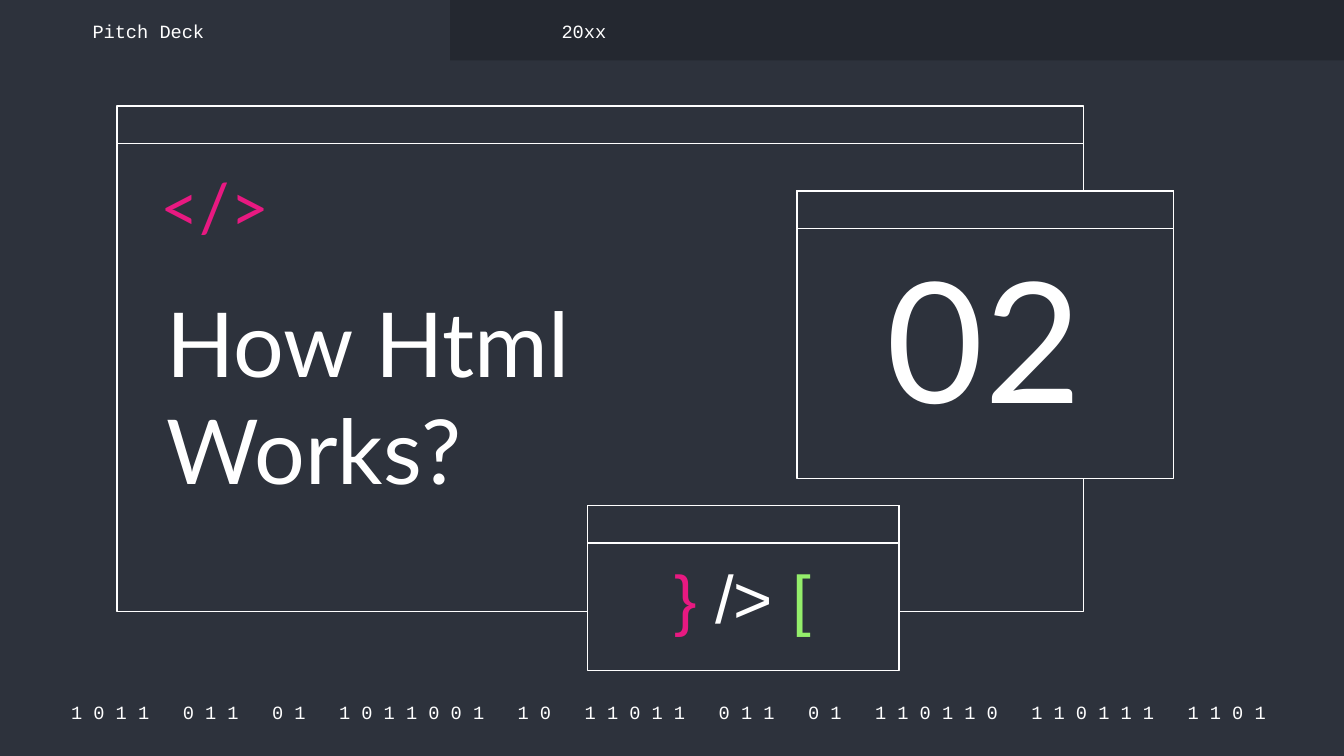
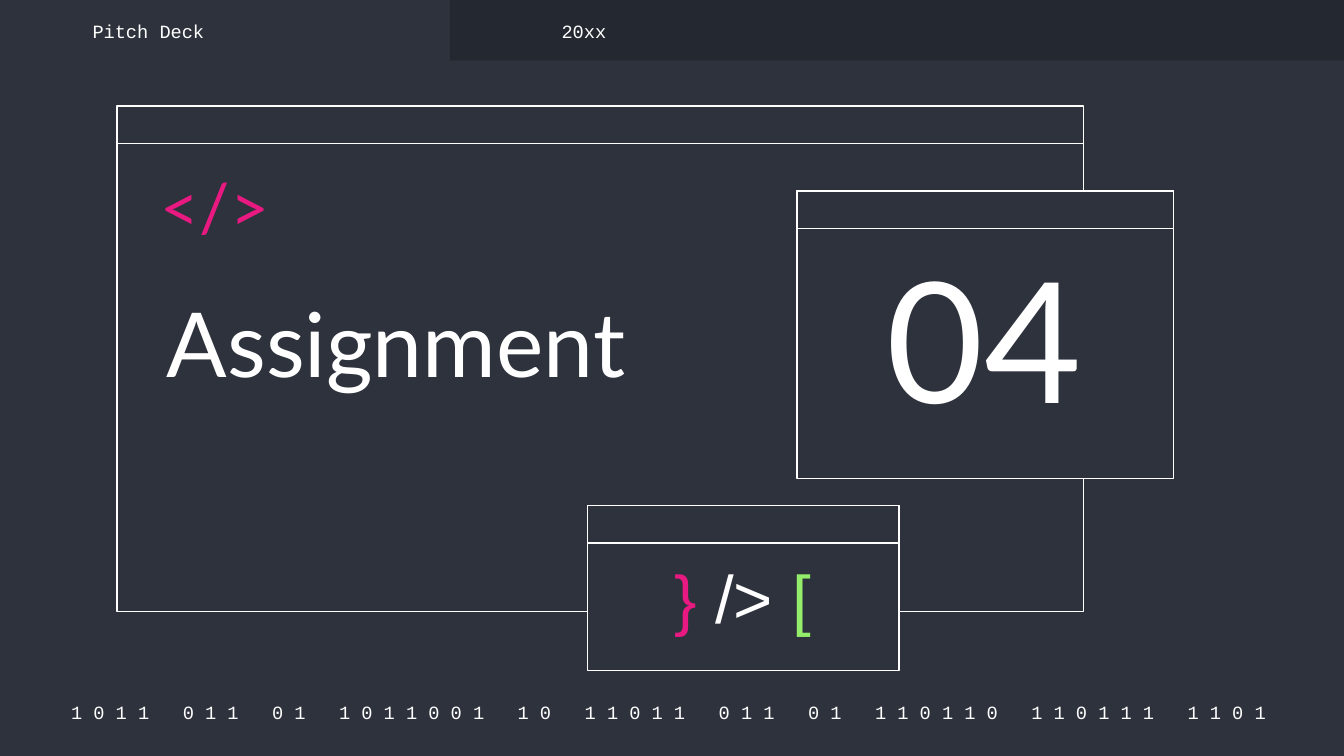
from pptx import Presentation
from pptx.dml.color import RGBColor
from pptx.enum.shapes import MSO_SHAPE
from pptx.enum.text import MSO_ANCHOR, MSO_AUTO_SIZE, PP_ALIGN
from pptx.util import Inches, Pt

RECT = MSO_SHAPE.RECTANGLE
LEFT, MID, RIGHT = PP_ALIGN.LEFT, PP_ALIGN.CENTER, PP_ALIGN.RIGHT
TOP, CENTER, BOTTOM = MSO_ANCHOR.TOP, MSO_ANCHOR.MIDDLE, MSO_ANCHOR.BOTTOM

# Content
SECTIONS = [("How Html Works?", "02"), ("Assignment", "04")]
BITS = "1011 011 01 1011001 10 11011 011 01 110110 110111 1101".split()
TAG = "</>"
LABELS = [("Pitch Deck", 0.59), ("20xx", 4.08)]

# Look
WIDE = 10
HIGH = WIDE * 9 / 16
NAVY = RGBColor(0x2D, 0x32, 0x3C)
DARK = RGBColor(0x24, 0x28, 0x30)
WHITE = RGBColor(0xFF, 0xFF, 0xFF)
PINK = RGBColor(0xE8, 0x19, 0x81)
GREEN = RGBColor(0x94, 0xEE, 0x6B)
MONO = {"name": "Courier New", "size": Pt(10)}
HEAD = {"name": "Lato", "size": Pt(48)}
DIGIT = {"name": "Lato", "size": Pt(90)}
MARK = {"name": "Lato", "size": Pt(36)}
CODE = {"name": "Arial", "size": Pt(36)}
SIGNS = [("}", PINK), (" /> ", WHITE), ("[", GREEN)]

# Geometry in inches: left, top, width, height
BAND = (3.35, 0, WIDE - 3.35, 0.45)
WINDOWS = [(0.87, 0.79, 7.19, 3.76), (4.37, 3.76, 2.32, 1.23), (5.93, 1.42, 2.8, 2.14)]
BAR = 0.28
GAP = Pt(12)  # extra width of the space between two groups of bits


def place(shape, box):
    shape.left, shape.top, shape.width, shape.height = map(Inches, box)


def write(shape, runs, font, align=LEFT, anchor=TOP, pitch=1.0):
    """Fill a text shape with (text, colour) runs in one paragraph."""
    frame = shape.text_frame
    look = {"word_wrap": True, "auto_size": MSO_AUTO_SIZE.NONE, "vertical_anchor": anchor}
    look |= {"margin_" + side: Inches(0.1) for side in ("left", "top", "right", "bottom")}
    for key, value in look.items():
        setattr(frame, key, value)
    para = frame.paragraphs[0]
    para.alignment, para.line_spacing, para.space_before = align, pitch, Pt(0)
    for text, color in runs:
        run = para.add_run()
        run.text = text
        run.font.color.rgb = color
        for key, value in font.items():
            setattr(run.font, key, value)
    return para


def label(slide, box, runs, font, **style):
    return write(slide.shapes.add_textbox(*map(Inches, box)), runs, font, **style)


def panel(shapes, box, fill, line=None):
    shape = shapes.add_shape(RECT, *map(Inches, box))
    shape.shadow.inherit = False
    shape.fill.solid()
    shape.fill.fore_color.rgb = fill
    if line is None:
        shape.line.fill.background()
    else:
        shape.line.color.rgb = line
        shape.line.width = Pt(0.75)


def window(slide, box):
    group = slide.shapes.add_group_shape()
    panel(group.shapes, box, NAVY, WHITE)
    panel(group.shapes, (*box[:3], BAR), NAVY, WHITE)


def footer(slide):
    """Row of bits; the spaces between groups are widened by tracking."""
    runs = []
    for bits in BITS:
        runs += [(" ".join(bits), WHITE), (" ", WHITE)]
    para = label(slide, (0.38, 5.2, 9.27, 0.2), runs, MONO, align=MID, anchor=CENTER)
    for space in para.runs[1:-1:2]:
        space.font._element.set("spc", str(int(GAP.pt * 100)))


def section(deck, name, number):
    slide = deck.slides.add_slide(deck.slide_layouts[0])
    title, digits = slide.placeholders
    slide.background.fill.solid()
    slide.background.fill.fore_color.rgb = NAVY

    # Footer, top band and windows
    footer(slide)
    panel(slide.shapes, BAND, DARK)
    for box in WINDOWS:
        window(slide, box)

    # Title and number, raised above the windows
    place(title, (1.14, 2.04, 4.36, 0.9))
    write(title, [(name, WHITE)], HEAD)
    place(digits, (6.11, 1.7, 2.43, 1.65))
    write(digits, [(number, WHITE)], DIGIT, align=MID, anchor=BOTTOM)
    for holder in (title, digits):
        slide.shapes._spTree.append(holder._element)

    # Code marks and header labels
    label(slide, (0.92, 1.2, 1.18, 0.62), [(TAG, PINK)], MARK, align=RIGHT, pitch=0.9)
    for text, left in LABELS:
        label(slide, (left, 0.13, 2.19, 0.2), [(text, WHITE)], MONO, anchor=CENTER)
    label(slide, (4.86, 4.11, 1.33, 0.82), SIGNS, CODE, align=MID, pitch=0.9)


def main():
    deck = Presentation()
    deck.slide_width, deck.slide_height = Inches(WIDE), Inches(HIGH)
    for name, number in SECTIONS:
        section(deck, name, number)
    deck.save("out.pptx")


if __name__ == "__main__":
    main()
